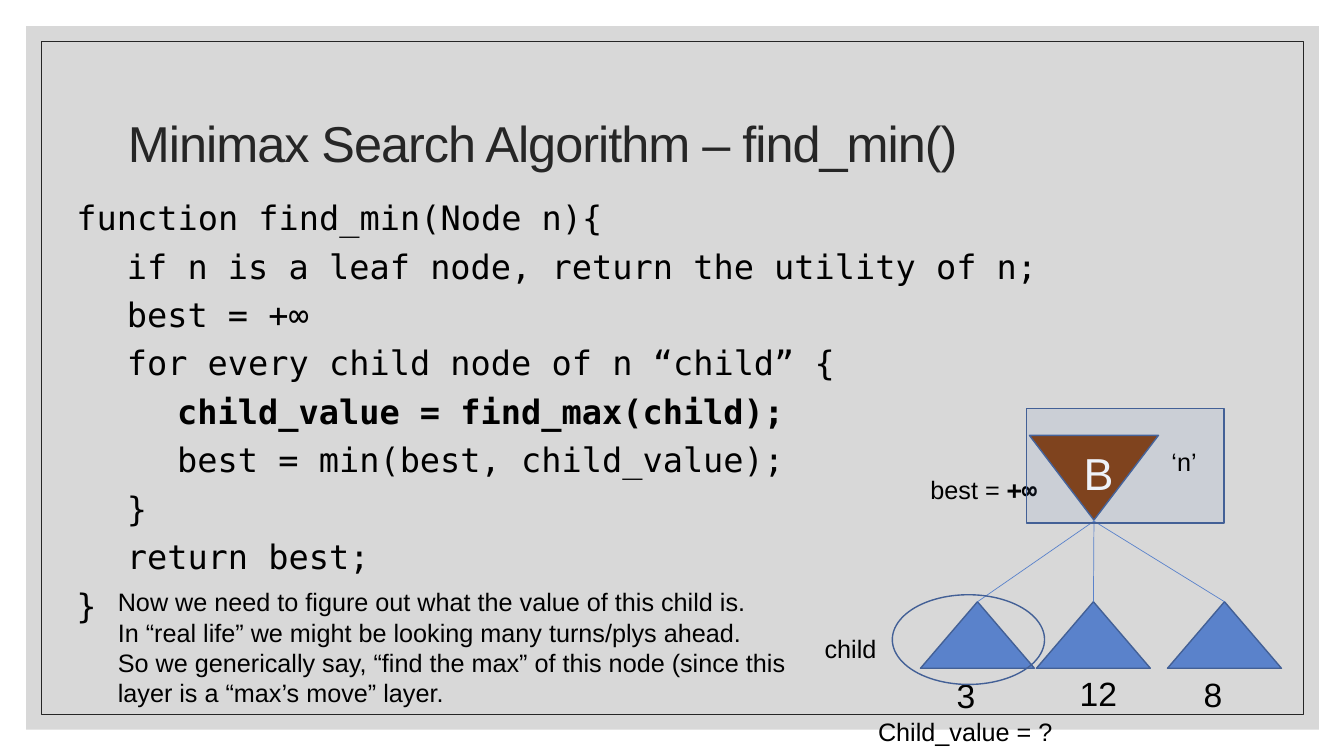
from lxml import etree
from pptx import Presentation
from pptx import util as u
from pptx.dml import color
from pptx.enum import shapes, text
from pptx.oxml import ns

SANS, MONO = "Arial", "DejaVu Sans Mono"
BLACK, WHITE, DARK = "000000", "FFFFFF", "262626"
BLUE, OUTLINE, BROWN, GREY = "5A82CB", "436096", "843C0B", "BFBFBF"

CODE = [
    "function find_min(Node n){",
    "\tif n is a leaf node, return the utility of n;",
    "\tbest = +∞",
    "\tfor every child node of n “child” {",
    "\t\tchild_value = find_max(child);",
    "\t\tbest = min(best, child_value);",
    "\t}",
    "\treturn best;",
    "}",
]
BOLD_LINE = 4
EXPLANATION = [
    "Now we need to figure out what the value of this child is.",
    "In “real life” we might be looking many turns/plys ahead.",
    "So we generically say, “find the max” of this node (since this layer is a “max’s move” layer.",
]
# left of the triangle, value, left and top of the value
CHILDREN = [
    (9.13, "3", 9.39, 6.65),
    (10.28, "12", 10.61, 6.63),
    (11.58, "8", 11.84, 6.64),
]


def rgb(value):
    return color.RGBColor.from_string(value)


def set_values(target, values):
    for name, value in values.items():
        setattr(target, name, value)


def add_figure(slide, kind, box, fill=None, opacity=100, line=None, width=1):
    """Add a preset shape; box is left, top, width, height in inches."""
    shape = slide.shapes.add_shape(kind, *map(u.Inches, box))
    shape.shadow.inherit = False
    if fill:
        shape.fill.solid()
        shape.fill.fore_color.rgb = rgb(fill)
        if opacity < 100:
            tint = shape._element.spPr.find(ns.qn("a:solidFill"))[0]
            etree.SubElement(tint, ns.qn("a:alpha"), val=str(opacity * 1000))
    else:
        shape.fill.background()
    if line:
        shape.line.color.rgb = rgb(line)
        shape.line.width = u.Pt(width)
    else:
        shape.line.fill.background()
    return shape


def add_run(paragraph, wording, size, font=SANS, colour=BLACK, bold=False):
    run = paragraph.add_run()
    run.text = wording
    set_values(run.font, {"size": u.Pt(size), "name": font, "bold": bold})
    run.font.color.rgb = rgb(colour)
    return run


def add_text(slide, box, lines, size, wrap=True, grow=True, **look):
    """Add a text box with one paragraph for each line."""
    frame = slide.shapes.add_textbox(*map(u.Inches, box)).text_frame
    resize = text.MSO_AUTO_SIZE.SHAPE_TO_FIT_TEXT if grow else text.MSO_AUTO_SIZE.NONE
    set_values(frame, {"word_wrap": wrap, "auto_size": resize})
    for index, line in enumerate(lines):
        paragraph = frame.add_paragraph() if index else frame.paragraphs[0]
        add_run(paragraph, line, size, **look)
    return frame


def add_branch(slide, start, child):
    """Draw a line from the parent's tip to the apex of a child triangle."""
    x, y = map(u.Inches, start)
    branch = slide.shapes.add_connector(
        shapes.MSO_CONNECTOR.STRAIGHT, x, y, child.left + child.width // 2, child.top)
    branch.end_connect(child, 0)
    branch.line.color.rgb = rgb(BLUE)
    branch.line.width = u.Pt(0.5)
    etree.SubElement(branch._element.spPr, ns.qn("a:effectLst"))


def add_title(slide):
    frame = add_text(slide, (1.17, 0.7, 11, 1.5),
                     ["Minimax Search Algorithm – find_min()"], 36, grow=False, colour=DARK)
    frame.vertical_anchor = text.MSO_ANCHOR.MIDDLE
    paragraph = frame.paragraphs[0]
    paragraph.line_spacing = 0.9
    paragraph.runs[0]._r.get_or_add_rPr().set("spc", "-70")


def add_code(slide):
    frame = add_text(slide, (0.36, 1.95, 12.64, 5.09), CODE, 24, grow=False, font=MONO)
    spacing = {"line_spacing": 0.9, "space_before": u.Pt(5), "space_after": u.Pt(3.7)}
    for paragraph in frame.paragraphs:
        set_values(paragraph, spacing)
        properties = paragraph._p.get_or_add_pPr()
        properties.set("marL", str(u.Inches(0.3)))
        properties.set("indent", "0")
    frame.paragraphs[BOLD_LINE].runs[0].font.bold = True


def add_tree(slide):
    triangle = shapes.MSO_SHAPE.ISOSCELES_TRIANGLE
    parent = add_figure(slide, triangle, (10.21, 4.32, 1.28, 0.84), BROWN, line=OUTLINE)
    parent._element.spPr.xfrm.set("flipV", "1")
    add_text(slide, (10.65, 4.37, 0.42, 0.5), ["B"], 32, colour=WHITE)
    for left, value, value_left, value_top in CHILDREN:
        child = add_figure(slide, triangle, (left, 5.97, 1.13, 0.66), BLUE, line=OUTLINE)
        add_branch(slide, (10.85, 5.17), child)
        add_text(slide, (value_left, value_top, 0.62, 0.39), [value], 24)


def add_notes_on_tree(slide):
    add_text(slide, (1.07, 5.77, 6.91, 1.31), EXPLANATION, 18)
    best = add_text(slide, (9.13, 4.66, 1.37, 0.4), ["best = "], 18)
    add_run(best.paragraphs[0], "+∞", 18, MONO, bold=True)
    add_text(slide, (8.08, 6.23, 0.92, 0.4), ["child"], 18)
    add_figure(slide, shapes.MSO_SHAPE.OVAL, (8.85, 5.9, 1.51, 0.89), line=OUTLINE)
    add_text(slide, (8.61, 7.06, 2.15, 0.4), ["Child_value = ?"], 18)
    add_figure(slide, shapes.MSO_SHAPE.RECTANGLE, (10.18, 4.05, 1.96, 1.14),
               BLUE, opacity=10, line=OUTLINE)
    add_text(slide, (11.52, 4.38, 0.71, 0.4), ["‘n’"], 18, wrap=False)


def main():
    presentation = Presentation()
    presentation.slide_width = u.Inches(13.33)
    presentation.slide_height = u.Inches(7.5)
    slide = presentation.slides.add_slide(presentation.slide_layouts[6])
    rectangle = shapes.MSO_SHAPE.RECTANGLE
    add_figure(slide, rectangle, (0.26, 0.26, 12.82, 6.98), GREY, opacity=60)
    add_figure(slide, rectangle, (0.41, 0.41, 12.52, 6.68), line=DARK, width=0.5)
    add_title(slide)
    add_code(slide)
    add_tree(slide)
    add_notes_on_tree(slide)
    presentation.save("out.pptx")


if __name__ == "__main__":
    main()
